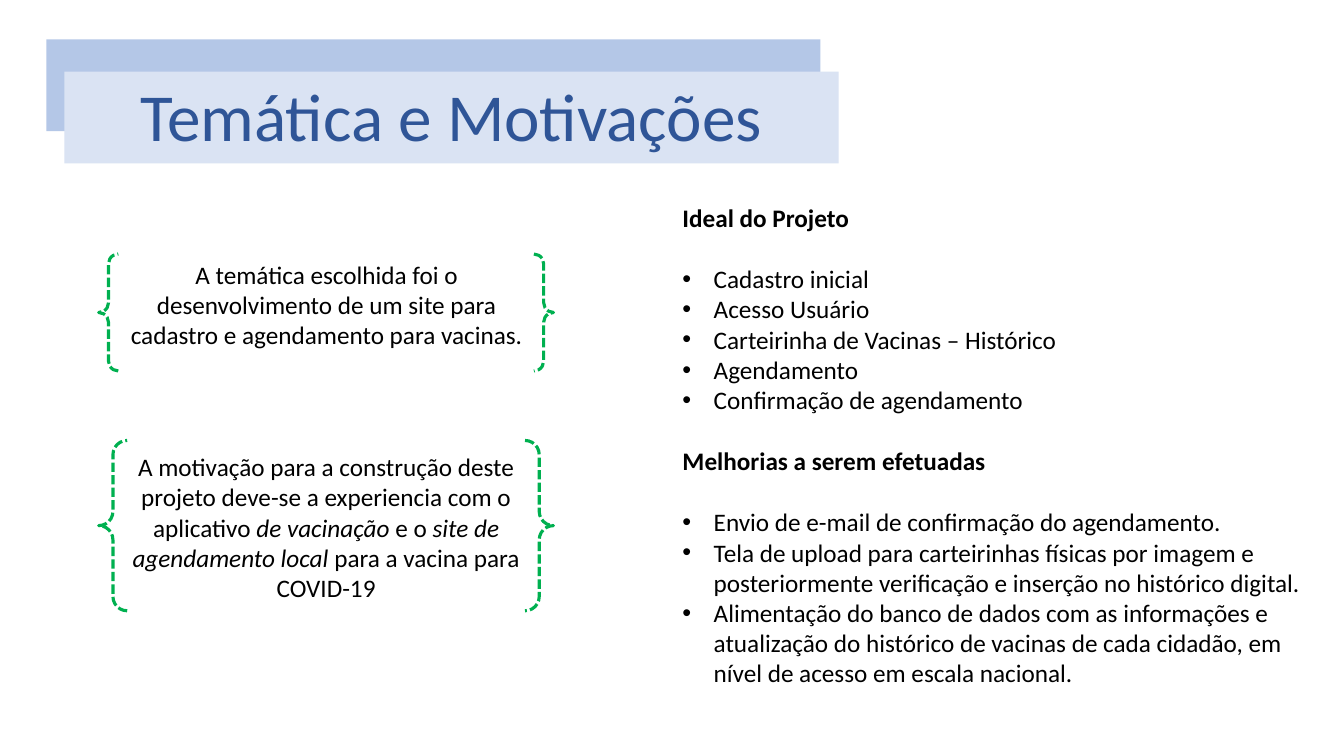
from pptx import Presentation
from pptx.dml.color import RGBColor
from pptx.enum.dml import MSO_LINE
from pptx.enum.shapes import MSO_SHAPE
from pptx.enum.text import MSO_AUTO_SIZE, PP_ALIGN
from pptx.oxml.xmlchemy import OxmlElement
from pptx.util import Inches, Pt

prs = Presentation()
prs.slide_width, prs.slide_height = Inches(13.33), Inches(7.5)
s = prs.slides.add_slide(prs.slide_layouts[6])


def box(x, y, w, h, shape=None, fill=None, line=None):
    """Add a shape, or a text box if no shape is given, in percent of the slide."""
    W, H = prs.slide_width, prs.slide_height
    at = [int(v * side / 100) for v, side in zip((x, y, w, h), (W, H, W, H))]
    if shape is None:
        sp = s.shapes.add_textbox(*at)
        sp.text_frame.word_wrap = True
        sp.text_frame.auto_size = MSO_AUTO_SIZE.SHAPE_TO_FIT_TEXT
        return sp
    sp = s.shapes.add_shape(shape, *at)
    sp.shadow.inherit = False
    for part, color in ((sp.fill, fill), (sp.line.fill, line)):
        if color:
            part.solid()
            part.fore_color.rgb = RGBColor.from_string(color)
        else:
            part.background()
    return sp


def add_run(p, text, size=18, color="000000", bold=False, italic=False):
    r = p.add_run()
    r.text = text
    r.font.name, r.font.size = "Calibri", Pt(size)
    r.font.bold, r.font.italic = bold, italic
    r.font.color.rgb = RGBColor.from_string(color)


# Title on two overlapping bands
for x, y, fill in ((3.45, 5.2, "B4C7E7"), (4.8, 9.47, "DAE3F3")):
    box(x, y, 57.6, 12.13, MSO_SHAPE.RECTANGLE, fill=fill)
p = box(9.08, 9.2, 49, 12.13).text_frame.paragraphs[0]
p.alignment = PP_ALIGN.CENTER
add_run(p, "Temática e Motivações", 48, "2F5597")

# Statements in braces: text box, brace top and height, (text, italic) runs
statements = [
    ((8.1, 33.6, 32.4, 13.47), 33.6, 15.47, [
        ("A temática escolhida foi o desenvolvimento de um site para "
         "cadastro e agendamento para vacinas.", False)]),
    ((7.35, 59.07, 33.83, 25.6), 58.27, 22.53, [
        ("A motivação para a construção deste projeto deve-se a "
         "experiencia com o aplicativo ", False),
        ("de vacinação ", True),
        ("e o ", False),
        ("site de agendamento local ", True),
        ("para a vacina para COVID-19", False)]),
]
for text_at, top, height, runs in statements:
    p = box(*text_at).text_frame.paragraphs[0]
    p.alignment = PP_ALIGN.CENTER
    for text, italic in runs:
        add_run(p, text, italic=italic)
    brace = box(7.35, top, 33.83, height, MSO_SHAPE.DOUBLE_BRACE, line="00B050")
    brace.line.width = Pt(2.25)
    brace.line.dash_style = MSO_LINE.SQUARE_DOT

# Headed bullet lists
sections = {
    "Ideal do Projeto": [
        "Cadastro inicial",
        "Acesso Usuário",
        "Carteirinha de Vacinas – Histórico",
        "Agendamento",
        "Confirmação de agendamento",
    ],
    "Melhorias a serem efetuadas": [
        "Envio de e-mail de confirmação do agendamento.",
        "Tela de upload para carteirinhas físicas por imagem e "
        "posteriormente verificação e inserção no histórico digital.",
        "Alimentação do banco de dados com as informações e atualização do "
        "histórico de vacinas de cada cidadão, em nível de acesso em escala "
        "nacional.",
    ],
}
tf = box(50.04, 26.13, 47.56, 66).text_frame
p = tf.paragraphs[0]
for i, (heading, items) in enumerate(sections.items()):
    if i:
        p = tf.add_paragraph()
        p.space_before = Pt(22)
    p.space_after = Pt(22)
    add_run(p, heading, bold=True)
    for item in items:
        p = tf.add_paragraph()
        add_run(p, item)
        pPr = p._p.get_or_add_pPr()
        pPr.set("marL", str(Inches(0.31)))
        pPr.set("indent", str(-Inches(0.31)))
        font = OxmlElement("a:buFont")
        font.set("typeface", "Arial")
        bullet = OxmlElement("a:buChar")
        bullet.set("char", "•")
        pPr.extend([font, bullet])

prs.save("out.pptx")
